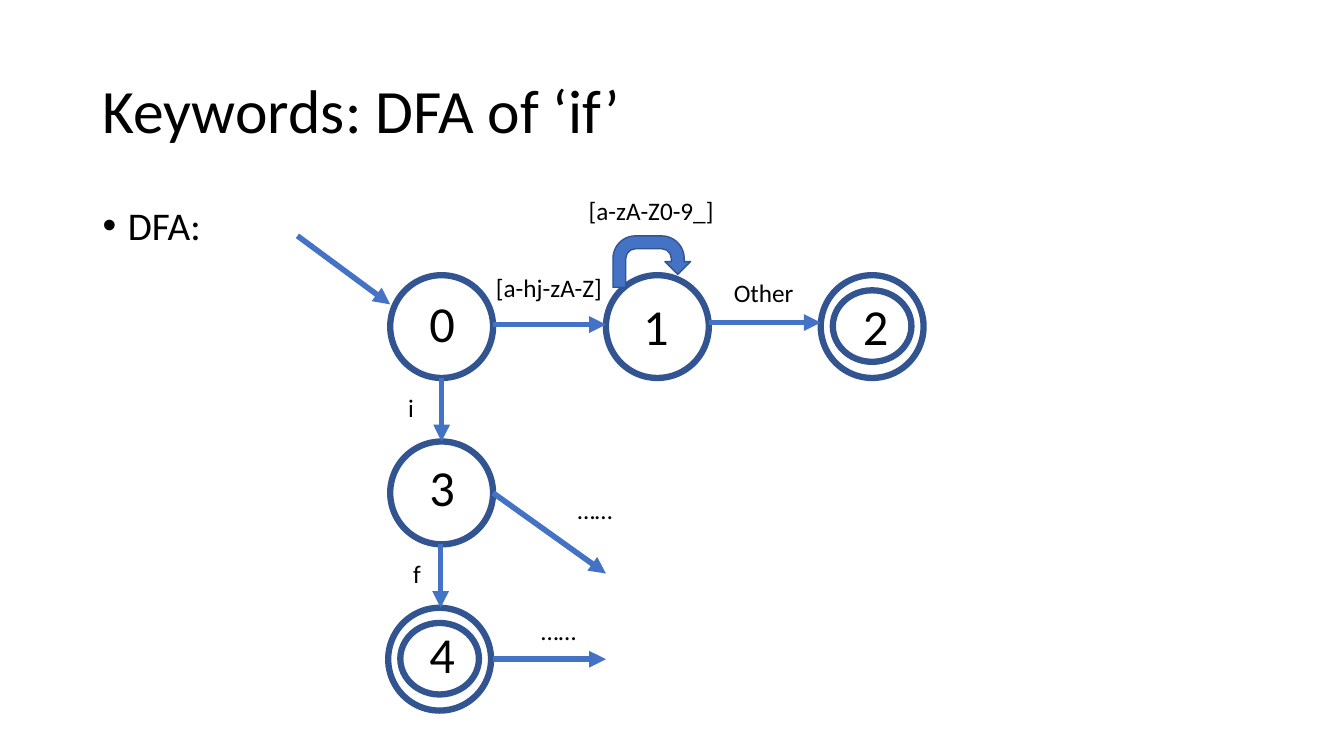
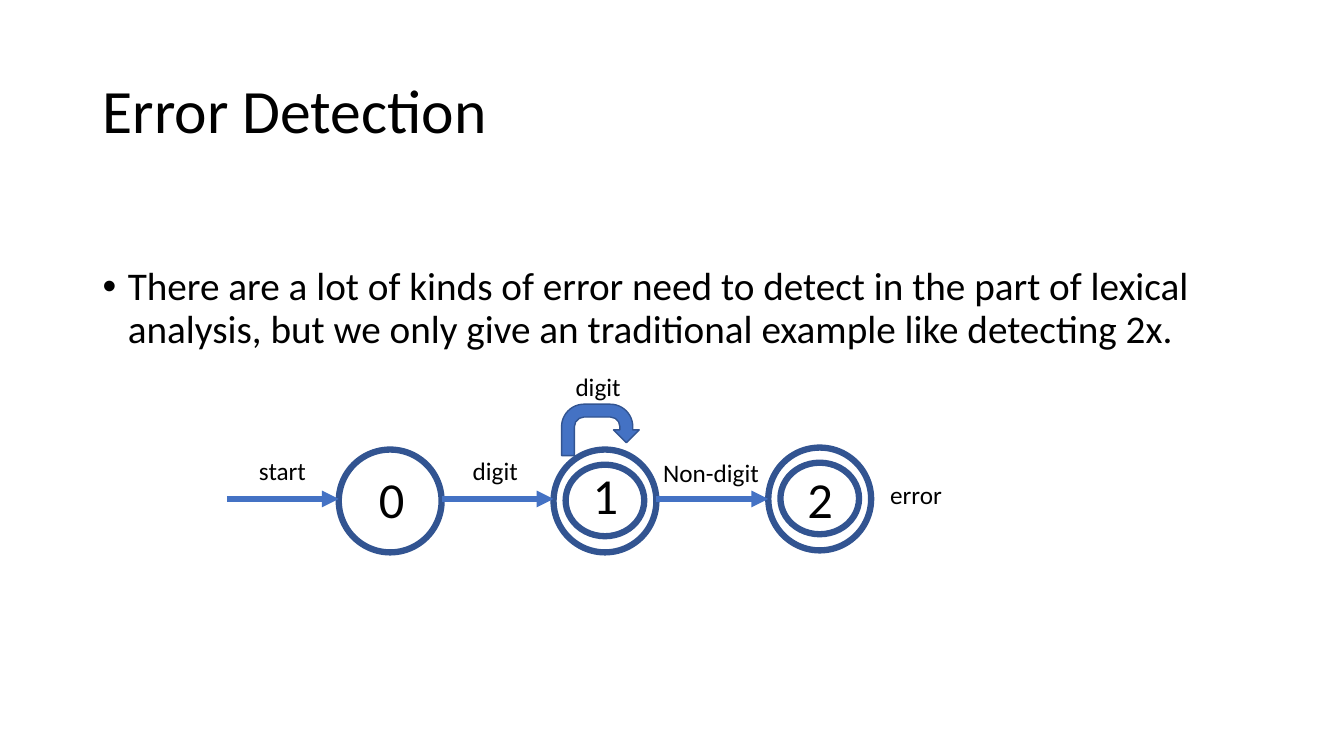
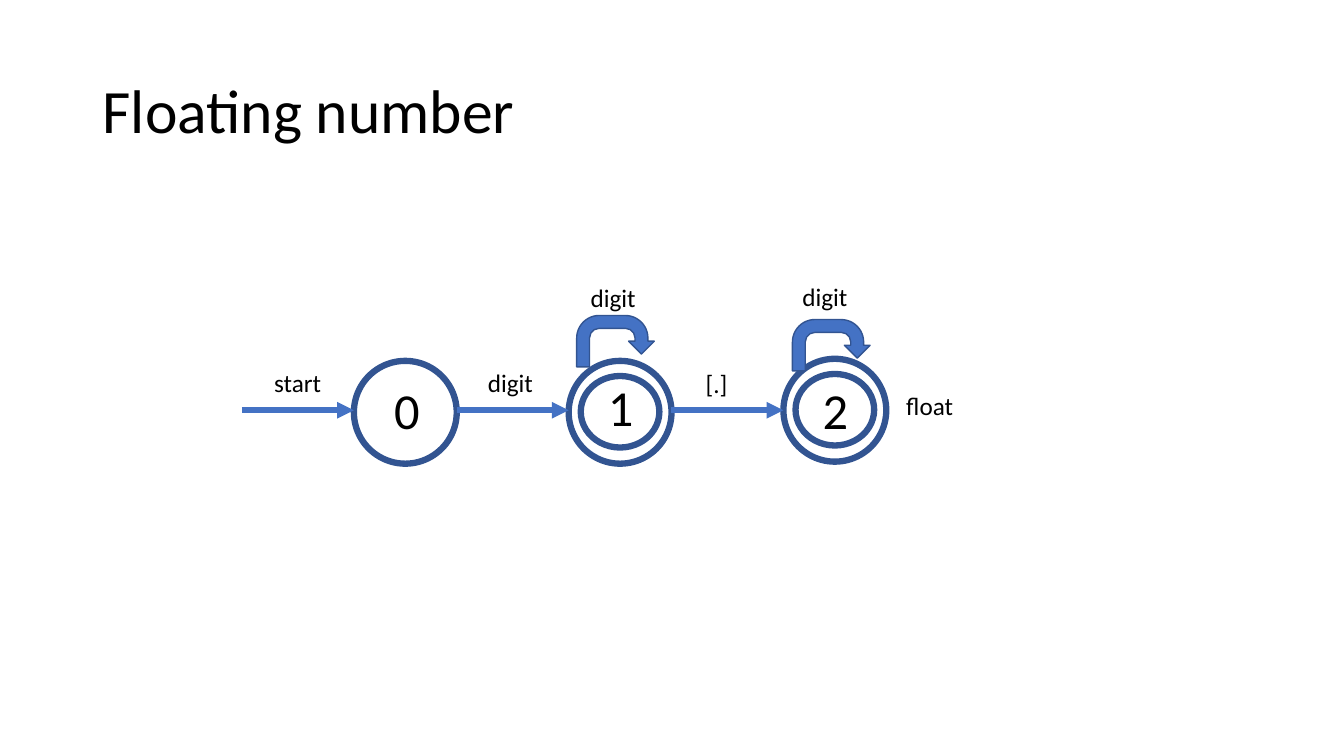
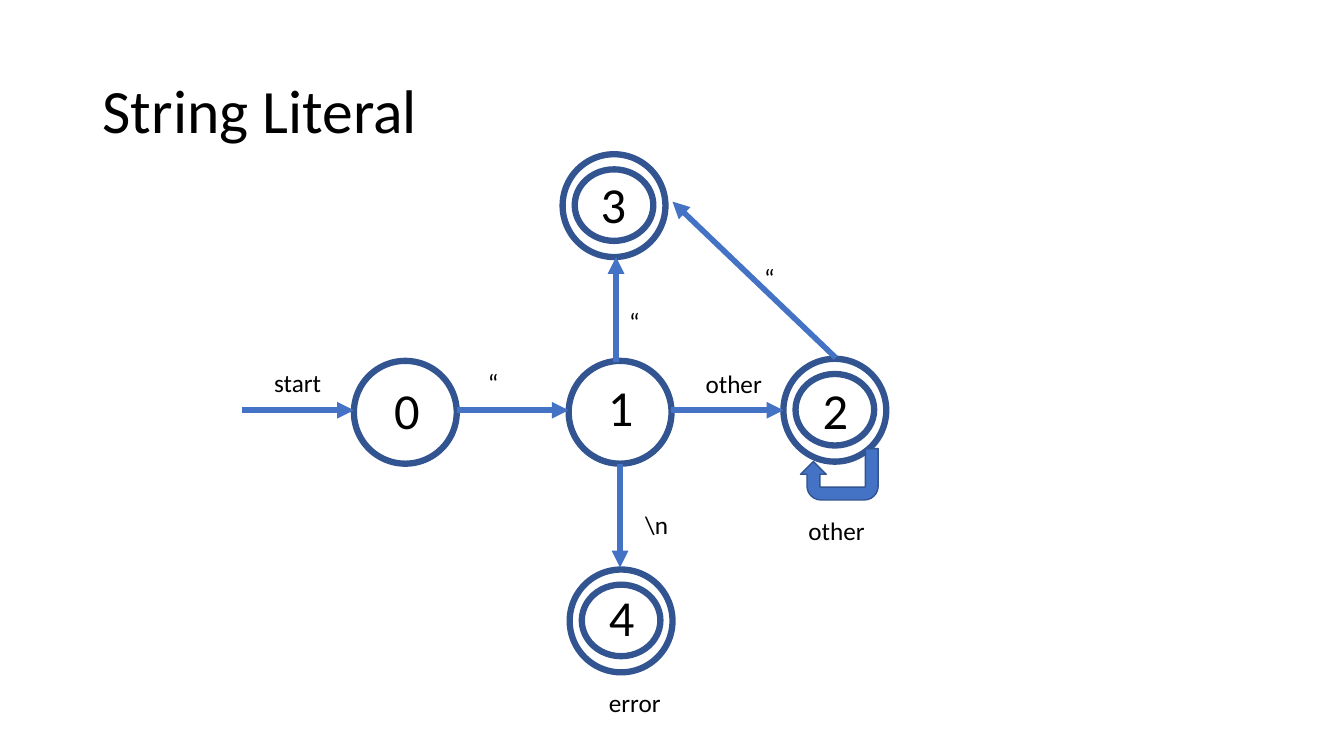
"""Build four slides of finite automata for a lexical analyser."""
from dataclasses import dataclass

from pptx import Presentation
from pptx.dml.color import RGBColor
from pptx.enum.shapes import MSO_CONNECTOR, MSO_SHAPE
from pptx.enum.text import MSO_ANCHOR, MSO_AUTO_SIZE
from pptx.oxml.ns import qn
from pptx.oxml.xmlchemy import OxmlElement
from pptx.util import Inches, Pt


@dataclass(frozen=True)
class Theme:
    font: str = "Calibri"
    text: RGBColor = RGBColor(0, 0, 0)
    paper: RGBColor = RGBColor(255, 255, 255)
    outline: RGBColor = RGBColor.from_string("325491")
    accent: RGBColor = RGBColor.from_string("4472C4")
    title_size: int = 44
    body_size: int = 28
    digit_size: int = 36
    label_size: int = 18
    ring_width: float = 4.5
    arrow_width: float = 4
    loop_width: float = 1


THEME = Theme()
CIRCLE = 1.02
RING_W, RING_H = 0.78, 0.71
RING_DX, RING_DY = 0.12, 0.15
LOOP_W, LOOP_H = 0.77, 0.51
STEP = 2.13
LABEL_H = 0.4


def add_text(s, text, x, y, w, h, size, wrap=True):
    tb = s.shapes.add_textbox(Inches(x), Inches(y), Inches(w), Inches(h))
    tf = tb.text_frame
    tf.word_wrap = wrap
    tf.text = text
    p = tf.paragraphs[0]
    font = p.runs[0].font
    font.name, font.size = THEME.font, Pt(size)
    font.color.rgb = THEME.text
    return tf


def add_outlined(s, kind, x, y, w, h, fill, width):
    sp = s.shapes.add_shape(kind, Inches(x), Inches(y), Inches(w), Inches(h))
    sp.shadow.inherit = False
    sp.fill.solid()
    sp.fill.fore_color.rgb = fill
    sp.line.color.rgb = THEME.outline
    sp.line.width = Pt(width)
    return sp


# states: digit, x, y, digit dx, digit dy; arrows: x1, y1, x2, y2
# labels: text, x, y, width; loops: x, y, rotation
diagrams = [
    {
        "title": "Keywords: DFA of ‘if’",
        "body": ("DFA:", 2),
        "accepting": "24",
        "states": [
            ("0", 3.87, 2.73, 0.29, 0.12),
            ("1", 6.01, 2.73, 0.27, 0.15),
            ("2", 8.14, 2.73, 0.32, 0.15),
            ("3", 3.87, 4.38, 0.29, 0.1),
            ("4", 3.85, 6.03, 0.31, 0.1),
        ],
        "arrows": [
            (2.95, 2.34, 3.87, 3.02),
            (4.89, 3.22, 6.01, 3.22),
            (7.03, 3.2, 8.14, 3.2),
            (4.38, 3.75, 4.38, 4.38),
            (4.37, 5.4, 4.37, 6.03),
            (4.89, 4.89, 6.01, 5.69),
            (4.89, 6.54, 6.01, 6.54),
        ],
        "labels": [
            ("[a-hj-zA-Z]", 4.82, 2.65, 1.26),
            ("[a-zA-Z0-9_]", 5.74, 1.89, 1.45),
            ("Other", 7.18, 2.7, 0.8),
            ("i", 3.95, 3.84, 0.26),
            ("f", 4, 5.49, 0.28),
            ("……", 5.63, 4.85, 0.56),
            ("……", 5.27, 6.06, 0.56),
        ],
        "loops": [(6.08, 2.34, 0)],
    },
    {
        "title": "Error Detection",
        "body": (
            "There are a lot of kinds of error need to detect in the part of "
            "lexical analysis, but we only give an traditional example like "
            "detecting 2x.",
            2.6,
        ),
        "chain": (3.36, 4.46),
        "accepting": "12",
        "labels": [
            ("digit", 4.59, 4.47, 0.65),
            ("digit", 5.61, 3.63, 0.65),
            ("Non-digit", 6.48, 4.49, 1.16),
            ("error", 8.73, 4.71, 0.72),
        ],
        "loops": [(5.57, 4.01, 0)],
    },
    {
        "title": "Floating number",
        "chain": (3.51, 3.58),
        "accepting": "12",
        "labels": [
            ("digit", 4.74, 3.59, 0.65),
            ("digit", 5.76, 2.75, 0.65),
            ("[.]", 6.9, 3.6, 0.42),
            ("digit", 7.86, 2.74, 0.65),
            ("float", 8.89, 3.82, 0.67),
        ],
        "loops": [(5.72, 3.13, 0), (7.86, 3.17, 0)],
    },
    {
        "title": "String Literal",
        "chain": (3.51, 3.58),
        "accepting": "234",
        "states": [
            ("3", 5.58, 1.53, 0.28, 0.14),
            ("4", 5.65, 5.65, 0.29, 0.12),
        ],
        "arrows": [
            (6.15, 4.6, 6.15, 5.63),
            (6.11, 3.59, 6.11, 2.55),
            (8.29, 3.55, 6.67, 2),
        ],
        "labels": [
            ("“", 4.74, 3.59, 0.31),
            ("“", 6.14, 2.99, 0.31),
            ("“", 7.48, 2.55, 0.31),
            ("other", 6.9, 3.6, 0.77),
            ("other", 7.92, 5.06, 0.77),
            ("\\n", 6.3, 5, 0.43),
            ("error", 5.94, 6.77, 0.72),
        ],
        "loops": [(7.94, 4.45, 180)],
    },
]

prs = Presentation()
prs.slide_width, prs.slide_height = Inches(13.33), Inches(7.5)

for diagram in diagrams:
    s = prs.slides.add_slide(prs.slide_layouts[6])
    states = diagram.get("states", [])
    arrows = diagram.get("arrows", [])
    labels = diagram["labels"]

    tf = add_text(s, diagram["title"], 0.92, 0.4, 11.5, 1.45, THEME.title_size)
    tf.vertical_anchor = MSO_ANCHOR.MIDDLE
    tf.paragraphs[0].line_spacing = 0.9

    if "body" in diagram:
        text, top = diagram["body"]
        tf = add_text(s, text, 0.92, top, 11.5, 6.76 - top, THEME.body_size)
        p = tf.paragraphs[0]
        p.line_spacing = 0.9
        p.space_before = Pt(10)
        pPr = p._p.get_or_add_pPr()
        pPr.set("marL", str(Inches(0.25)))
        pPr.set("indent", str(-Inches(0.25)))
        for tag, key, value in (("a:buFont", "typeface", "Arial"), ("a:buChar", "char", "•")):
            bullet = OxmlElement(tag)
            bullet.set(key, value)
            pPr.append(bullet)

    if "chain" in diagram:
        x, y = diagram["chain"]
        states = [
            ("0", x, y, 0.3, 0.13),
            ("1", x + STEP, y, 0.29, 0.1),
            ("2", x + 2 * STEP, y - 0.02, 0.29, 0.15),
        ] + states
        mid = y + 0.49
        for i in range(3):
            end = x + i * STEP
            arrows = arrows + [(end - STEP + CIRCLE, mid, end, mid)]
        labels = [("start", x - 0.89, y + 0.01, 0.67)] + labels

    for digit, x, y, dx, dy in states:
        add_outlined(s, MSO_SHAPE.OVAL, x, y, CIRCLE, CIRCLE, THEME.paper, THEME.ring_width)
        if digit in diagram["accepting"]:
            add_outlined(s, MSO_SHAPE.OVAL, x + RING_DX, y + RING_DY, RING_W, RING_H,
                         THEME.paper, THEME.ring_width)
        add_text(s, digit, x + dx, y + dy, 0.35, 0.71, THEME.digit_size)

    for x1, y1, x2, y2 in arrows:
        c = s.shapes.add_connector(MSO_CONNECTOR.STRAIGHT, Inches(x1), Inches(y1),
                                   Inches(x2), Inches(y2))
        c.line.color.rgb = THEME.accent
        c.line.width = Pt(THEME.arrow_width)
        spPr = c.element.spPr
        tail = OxmlElement("a:tailEnd")
        tail.set("type", "triangle")
        spPr.find(qn("a:ln")).append(tail)
        spPr.append(OxmlElement("a:effectLst"))

    for x, y, rotation in diagram["loops"]:
        sp = add_outlined(s, MSO_SHAPE.U_TURN_ARROW, x, y, LOOP_W, LOOP_H,
                          THEME.accent, THEME.loop_width)
        sp.rotation = rotation
        if rotation:
            sp.adjustments[3] = 0.27

    for text, x, y, w in labels:
        tf = add_text(s, text, x, y, w, LABEL_H, THEME.label_size, wrap=False)
        tf.auto_size = MSO_AUTO_SIZE.SHAPE_TO_FIT_TEXT

prs.save("out.pptx")
